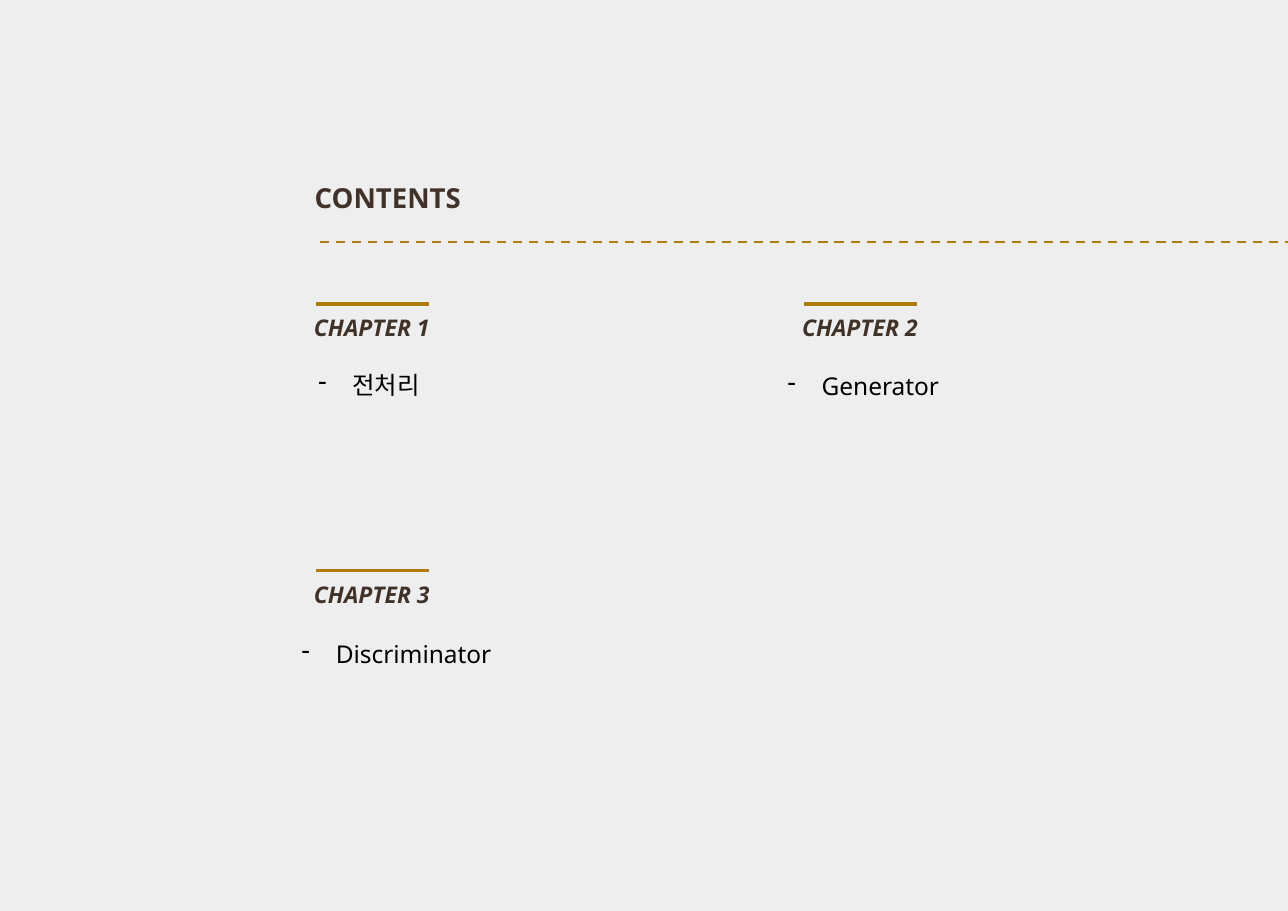
from lxml import etree
from pptx import Presentation
from pptx.dml.color import RGBColor
from pptx.enum.dml import MSO_LINE
from pptx.enum.shapes import MSO_CONNECTOR
from pptx.enum.text import MSO_ANCHOR, MSO_AUTO_SIZE, PP_ALIGN
from pptx.oxml.ns import qn
from pptx.util import Inches, Pt

STRAIGHT = MSO_CONNECTOR.STRAIGHT
DASH = MSO_LINE.DASH
TOP = MSO_ANCHOR.TOP
GROW = MSO_AUTO_SIZE.SHAPE_TO_FIT_TEXT
CENTER = PP_ALIGN.CENTER
LEFT = PP_ALIGN.LEFT

BACKGROUND = RGBColor(0xEE, 0xEE, 0xEF)
BROWN = RGBColor(0x40, 0x32, 0x29)
GOLD = RGBColor(0xB0, 0x7B, 0x0F)
BLACK = RGBColor(0, 0, 0)

FONT = "Noto Sans"
TITLE = {"name": FONT, "size": Pt(18), "bold": True}
HEADING = {"name": FONT, "size": Pt(15), "bold": True, "italic": True}
ITEM = {"name": FONT, "size": Pt(16)}

SLIDE_WIDTH = 11.69
CHAPTERS = [
    ("CHAPTER 1", 2.64, 2.8, "전처리", 2.79, 3.18),
    ("CHAPTER 2", 7.07, 2.8, "Generator", 7.05, 3.19),
    ("CHAPTER 3", 2.64, 5.22, "Discriminator", 2.64, 5.62),
]


def write_text(s, text, style, color, align):
    """Fill a shape with one formatted paragraph and return the paragraph."""
    tf = s.text_frame
    frame = {"word_wrap": True, "auto_size": GROW, "vertical_anchor": TOP}
    for name, value in frame.items():
        setattr(tf, name, value)
    p = tf.paragraphs[0]
    p.alignment = align
    r = p.add_run()
    r.text = text
    for name, value in style.items():
        setattr(r.font, name, value)
    r.font.color.rgb = color
    return p


def add_title(slide, text, left, top, width, height):
    """Place and format the title placeholder."""
    s = slide.shapes.title
    s.left, s.top = Inches(left), Inches(top)
    s.width, s.height = Inches(width), Inches(height)
    write_text(s, text, TITLE, BROWN, CENTER)


def add_heading(slide, text, left, top):
    """Add a centred chapter heading."""
    s = slide.shapes.add_textbox(
        Inches(left), Inches(top), Inches(1.47), Inches(0.35))
    write_text(s, text, HEADING, BROWN, CENTER)


def add_item(slide, text, left, top):
    """Add a chapter topic with a dash bullet."""
    s = slide.shapes.add_textbox(
        Inches(left), Inches(top), Inches(1.99), Inches(0.46))
    p = write_text(s, text, ITEM, BLACK, LEFT)
    p.line_spacing = 1.5
    pPr = p._p.get_or_add_pPr()
    pPr.set("marL", str(Inches(0.31)))
    pPr.set("indent", str(-Inches(0.31)))
    etree.SubElement(pPr, qn("a:buChar")).set("char", "-")


def add_rule(slide, left, right, top, width, dash=None):
    """Add a horizontal gold line."""
    s = slide.shapes.add_connector(
        STRAIGHT, Inches(left), Inches(top), Inches(right), Inches(top))
    s.line.color.rgb = GOLD
    s.line.width = Pt(width)
    if dash:
        s.line.dash_style = dash
    etree.SubElement(s._element.spPr, qn("a:effectLst"))


def main():
    """Build the contents slide."""
    prs = Presentation()
    prs.slide_width, prs.slide_height = Inches(SLIDE_WIDTH), Inches(8.27)
    slide = prs.slides.add_slide(prs.slide_layouts[5])
    fill = slide.background.fill
    fill.solid()
    fill.fore_color.rgb = BACKGROUND

    add_title(slide, "CONTENTS", 2.65, 1.59, 1.74, 0.4)
    add_rule(slide, 2.9, SLIDE_WIDTH, 2.2, 1.5, DASH)
    for heading, left, top, item, item_left, item_top in CHAPTERS:
        add_rule(slide, left + 0.23, left + 1.25, top - 0.04, 2.25)
        add_heading(slide, heading, left, top)
        add_item(slide, item, item_left, item_top)
    prs.save("out.pptx")


if __name__ == "__main__":
    main()
